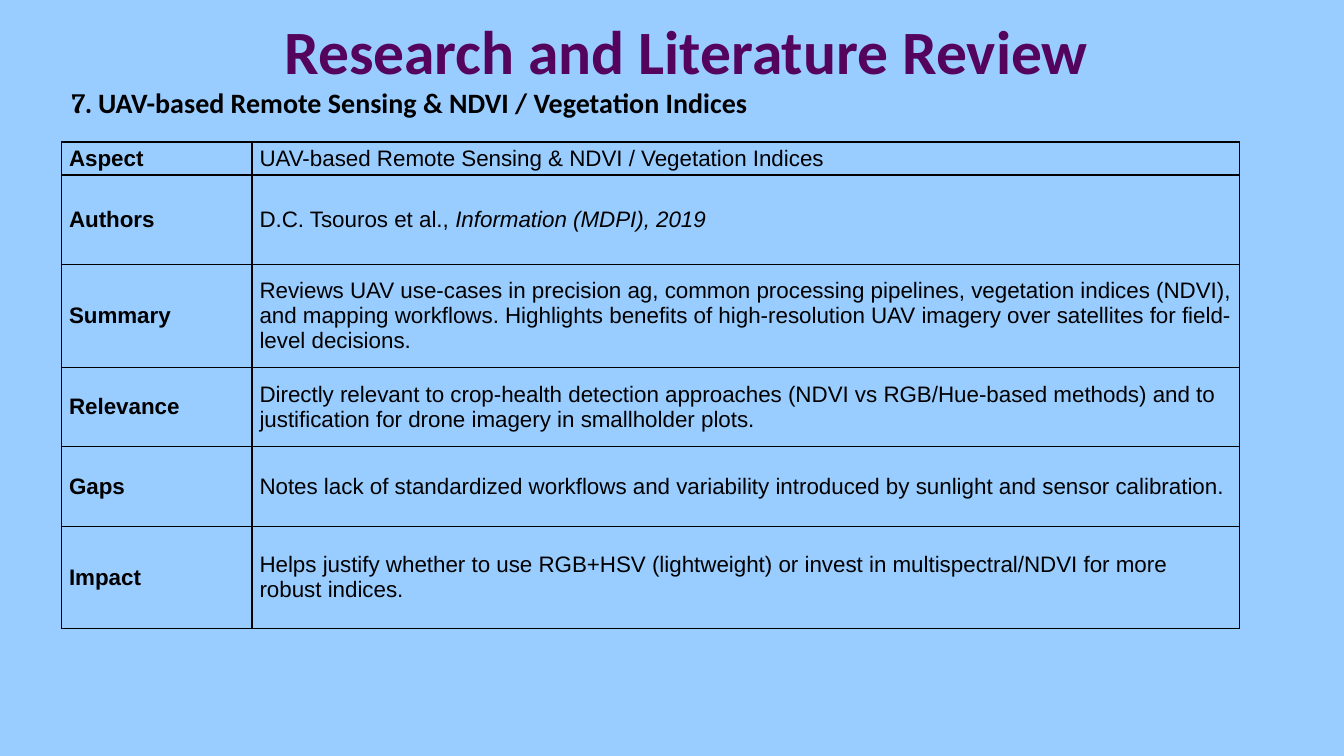
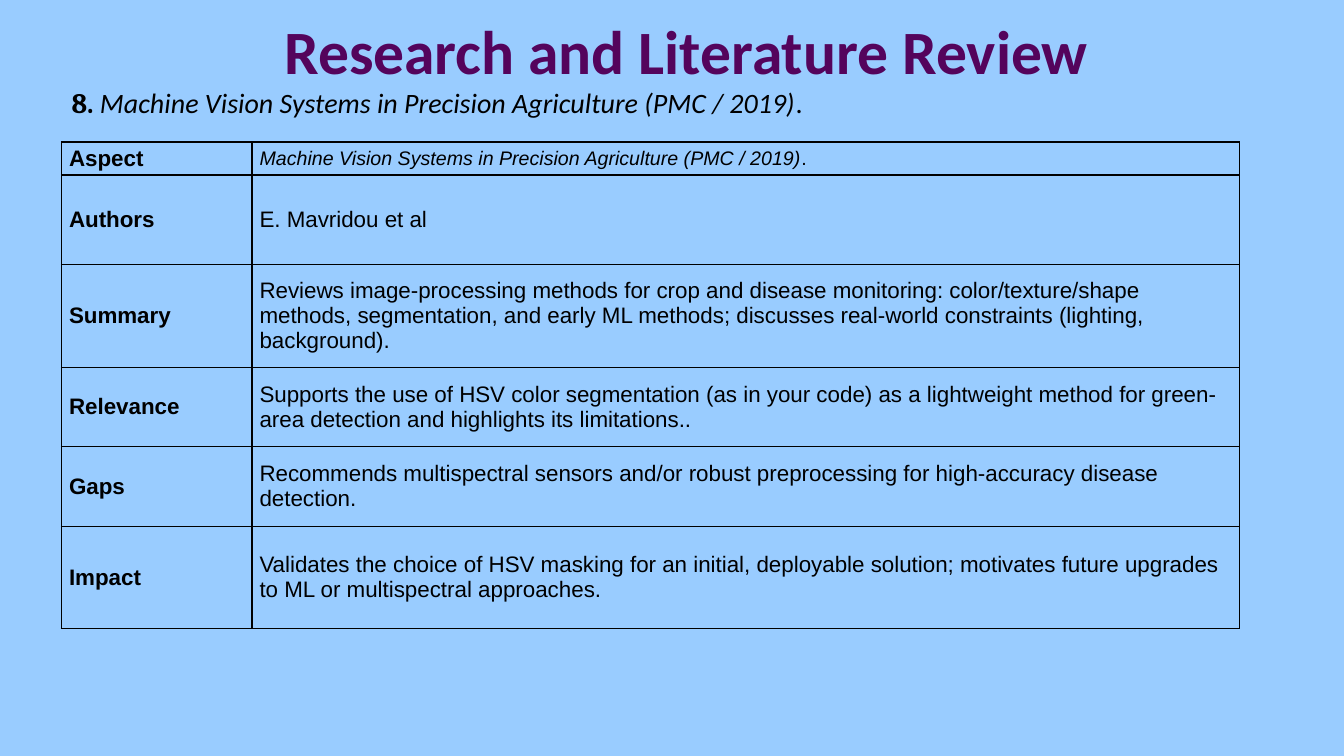
import pptx
import pptx.util
import pptx.dml.color
import pptx.enum.text
import pptx.oxml
import pptx.oxml.ns
from pptx.util import Cm

COLORS = {"background": "99CCFF", "title": "54045C", "text": "000000", "border": "000000"}
HEADING = "Research and Literature Review "
ASPECTS = ["Aspect", "Authors", "Summary", "Relevance", "Gaps", "Impact"]
ROW_HEIGHTS = [0.79, 2.26, 2.59, 2, 2, 2.59]
COLUMN_WIDTHS = [4.8, 24.89]


class ReviewDeck:
    def __init__(self):
        self.deck = pptx.Presentation()
        self.deck.slide_width = Cm(33.87)
        self.deck.slide_height = Cm(19.05)
        self.page = None
        fill = self.deck.slide_master.background.fill
        fill.solid()
        fill.fore_color.rgb = self.color("background")

    def color(self, name):
        return pptx.dml.color.RGBColor.from_string(COLORS[name])

    def add_page(self):
        self.page = self.deck.slides.add_slide(self.deck.slide_layouts[1])

    def place(self, box, left, top, width, height):
        box.left, box.top, box.width, box.height = Cm(left), Cm(top), Cm(width), Cm(height)

    def add_text(self, para, spans, size, name, color="text", bold=False):
        para.space_before = pptx.util.Pt(0)
        font = para.font
        font.size, font.name, font.bold = pptx.util.Pt(size), name, bold
        font.color.rgb = self.color(color)
        for text, style in spans:
            span = para.add_run()
            span.text = text
            span.font.name = style.get("name")
            span.font.bold = style.get("bold")
            span.font.italic = style.get("italic")

    def title(self, text):
        box = self.page.shapes.title
        self.place(box, 2.24, -0.33, 30.48, 3.18)
        box.text_frame.vertical_anchor = pptx.enum.text.MSO_ANCHOR.MIDDLE
        para = box.text_frame.paragraphs[0]
        para.alignment = pptx.enum.text.PP_ALIGN.CENTER
        self.add_text(para, [(text, {})], 44, "Calibri", "title", True)

    def subtitle(self, spans):
        box = self.page.placeholders[1]
        self.place(box, 1.55, 2.03, 30.48, 12.57)
        para = box.text_frame.paragraphs[0]
        properties = para._p.get_or_add_pPr()
        properties.set("marL", "0")
        properties.set("indent", "0")
        properties.append(pptx.oxml.parse_xml(f'<a:buNone {pptx.oxml.ns.nsdecls("a")}/>'))
        self.add_text(para, spans, 20, "Calibri")

    def border(self, cell):
        properties = cell._tc.get_or_add_tcPr()
        for side in ("lnL", "lnR", "lnT", "lnB"):
            properties.append(pptx.oxml.parse_xml(
                f'<a:{side} {pptx.oxml.ns.nsdecls("a")} w="12700"><a:solidFill>'
                f'<a:srgbClr val="{COLORS["border"]}"/></a:solidFill></a:{side}>'))

    def cell(self, cell, spans, size=16, bold=False):
        self.border(cell)
        cell.fill.background()
        cell.vertical_anchor = pptx.enum.text.MSO_ANCHOR.MIDDLE
        cell.margin_left = cell.margin_right = Cm(0.19)
        cell.margin_top = cell.margin_bottom = Cm(0.1)
        self.add_text(cell.text_frame.paragraphs[0], spans, size, "Arial", bold=bold)

    def table(self, entries, first_size):
        table = self.page.shapes.add_table(
            len(ASPECTS), len(COLUMN_WIDTHS), Cm(1.55), Cm(3.58),
            Cm(sum(COLUMN_WIDTHS)), Cm(sum(ROW_HEIGHTS))).table
        table.first_row = table.horz_banding = False
        for column, width in zip(table.columns, COLUMN_WIDTHS):
            column.width = Cm(width)
        for index, (aspect, spans) in enumerate(zip(ASPECTS, entries)):
            table.rows[index].height = Cm(ROW_HEIGHTS[index])
            self.cell(table.cell(index, 0), [(aspect, {})], bold=True)
            self.cell(table.cell(index, 1), spans, 16 if index else first_size)

    def review(self, subtitle, entries, first_size=16):
        self.add_page()
        self.title(HEADING)
        self.subtitle(subtitle)
        self.table(entries, first_size)


def main():
    number = {"name": "Cambria", "bold": True}
    italic = {"italic": True}
    uav_topic = "UAV-based Remote Sensing & NDVI / Vegetation Indices"
    vision_topic = "Machine Vision Systems in Precision Agriculture (PMC / 2019)"
    reviews = ReviewDeck()
    reviews.review(
        [("7. ", number), (uav_topic, {"bold": True})],
        [
            [(uav_topic, {})],
            [("D.C. Tsouros et al., ", {}), ("Information (MDPI), 2019", italic)],
            [("Reviews UAV use-cases in precision ag, common processing pipelines, "
              "vegetation indices (NDVI), and mapping workflows. Highlights benefits of "
              "high-resolution UAV imagery over satellites for field-level decisions.", {})],
            [("Directly relevant to crop-health detection approaches (NDVI vs RGB/Hue-based "
              "methods) and to justification for drone imagery in smallholder plots.", {})],
            [("Notes lack of standardized workflows and variability introduced by sunlight "
              "and sensor calibration.", {})],
            [("Helps justify whether to use RGB+HSV (lightweight) or invest in "
              "multispectral/NDVI for more robust indices.", {})],
        ])
    reviews.review(
        [("8.", number), (" " + vision_topic, italic), (".", {})],
        [
            [(vision_topic, italic), (".", {})],
            [("E. Mavridou et al", {})],
            [("Reviews image-processing methods for crop and disease monitoring: "
              "color/texture/shape methods, segmentation, and early ML methods; discusses "
              "real-world constraints (lighting, background).", {})],
            [("Supports the use of HSV color segmentation (as in your code) as a lightweight "
              "method for green-area detection and highlights its limitations..", {})],
            [("Recommends multispectral sensors and/or robust preprocessing for "
              "high-accuracy disease detection.", {})],
            [("Validates the choice of HSV masking for an initial, deployable solution; "
              "motivates future upgrades to ML or multispectral approaches.", {})],
        ],
        first_size=14)
    reviews.deck.save("out.pptx")


if __name__ == "__main__":
    main()
